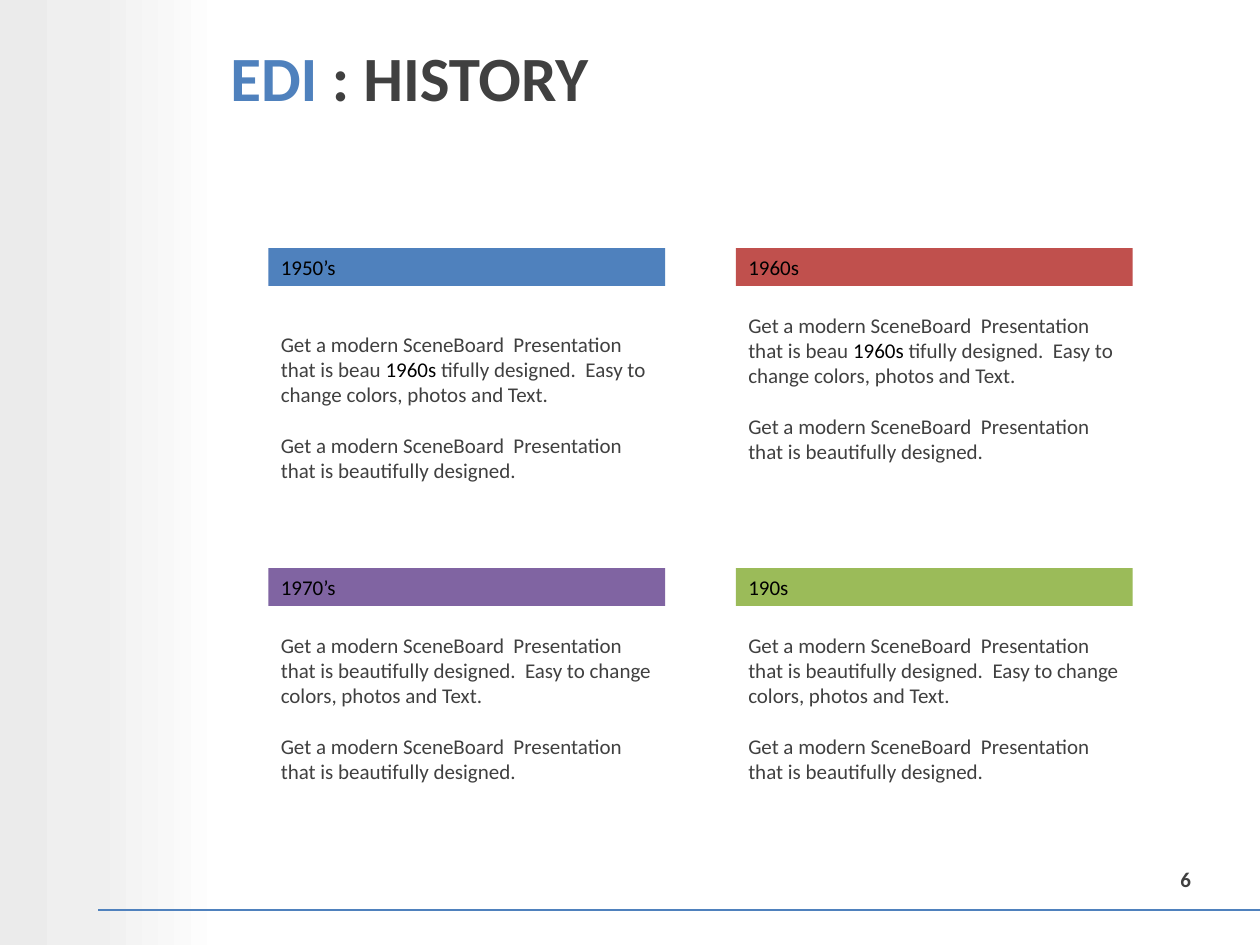
from copy import deepcopy
from dataclasses import dataclass

from lxml.etree import SubElement
from pptx import Presentation
from pptx.dml.color import RGBColor
from pptx.enum.shapes import MSO_CONNECTOR, MSO_SHAPE
from pptx.enum.text import MSO_ANCHOR, PP_ALIGN
from pptx.oxml.ns import qn
from pptx.util import Inches, Pt


@dataclass(frozen=True)
class Theme:
    font: str = "Calibri"
    title: float = 36
    body: float = 12
    paragraph_gap: float = 14.65
    rule: float = 1
    black: str = "000000"
    dark: str = "404040"
    blue: str = "4F81BD"
    red: str = "C0504D"
    purple: str = "8064A2"
    green: str = "9BBB59"
    fade: tuple = ((0, "EBEBEB"), (0.42, "EFEFEF"), (1, "FFFFFF"))


THEME = Theme()
WIDTH, HEIGHT = 10, 7.5
GRID_LEFT, GRID_TOP = 2.13, 1.97
COLUMN_STEP, ROW_STEP = 3.71, 2.54
CARD_WIDTH, HEADER_HEIGHT, BODY_HEIGHT = 3.15, 0.3, 1.31

OPENING = "Get a modern SceneBoard  Presentation that is beau"
ENDING = "tifully designed.  Easy to change colors, photos and Text."
CLOSING = [(OPENING + "tifully designed.", THEME.dark)]
PLAIN = [[(OPENING + ENDING, THEME.dark)], CLOSING]
DATED = [[(OPENING, THEME.dark), (" 1960s ", THEME.black), (ENDING, THEME.dark)], CLOSING]

CARDS = [
    (0, 0, "1950’s", THEME.blue, DATED, 0.61),
    (1, 0, "1960s", THEME.red, DATED, 0.46),
    (0, 1, "1970’s", THEME.purple, PLAIN, 0.46),
    (1, 1, "190s", THEME.green, PLAIN, 0.46),
]


def rgb(color):
    return RGBColor.from_string(color)


def write(sp, paragraphs, size, bold=False, align=PP_ALIGN.LEFT, anchor=MSO_ANCHOR.TOP):
    tf = sp.text_frame
    tf.word_wrap = True
    tf.vertical_anchor = anchor
    for i, runs in enumerate(paragraphs):
        p = tf.add_paragraph() if i else tf.paragraphs[0]
        p.alignment = align
        if i:
            p.space_before = Pt(THEME.paragraph_gap)
        p.font.name, p.font.size, p.font.bold = THEME.font, Pt(size), bold
        for text, color in runs:
            r = p.add_run()
            r.text = text
            r.font.color.rgb = rgb(color)


def add_text(s, box, paragraphs, size, **style):
    sp = s.shapes.add_textbox(*map(Inches, box))
    write(sp, paragraphs, size, **style)


def add_rectangle(s, box):
    sp = s.shapes.add_shape(MSO_SHAPE.RECTANGLE, *map(Inches, box))
    sp.shadow.inherit = False
    sp.line.fill.background()
    return sp


def add_side_fade(s, box):
    sp = add_rectangle(s, box)
    sp.fill.gradient()
    sp.fill.gradient_angle = 0
    stops = sp._element.spPr.find(".//" + qn("a:gsLst"))
    stops.insert(1, deepcopy(stops[0]))
    for stop, (position, color) in zip(sp.fill.gradient_stops, THEME.fade):
        stop.position = position
        stop.color.rgb = rgb(color)


def add_title(s, box):
    runs = [("EDI", THEME.blue), (" : HISTORY", THEME.dark)]
    add_text(s, box, [runs], THEME.title, bold=True, anchor=MSO_ANCHOR.MIDDLE)


def add_card(s, box, heading, color, paragraphs, body_offset):
    left, top, width, height = box
    header = add_rectangle(s, (left, top, width, HEADER_HEIGHT))
    header.fill.solid()
    header.fill.fore_color.rgb = rgb(color)
    write(header, [[(heading, THEME.black)]], THEME.body)
    body = (left, top + body_offset, width, height)
    add_text(s, body, paragraphs, THEME.body)


def add_footer(s, box):
    left, top, width, height = box
    bottom = top + height
    line = s.shapes.add_connector(
        MSO_CONNECTOR.STRAIGHT, *map(Inches, (left, bottom, left + width, bottom))
    )
    line.line.color.rgb = rgb(THEME.blue)
    line.line.width = Pt(THEME.rule)
    SubElement(line._element.spPr, qn("a:effectLst"))
    number = (8.99, top, 0.84, 0.3)
    add_text(s, number, [[("6", THEME.dark)]], THEME.body, bold=True, align=PP_ALIGN.CENTER)


def main():
    prs = Presentation()
    prs.slide_width, prs.slide_height = Inches(WIDTH), Inches(HEIGHT)
    s = prs.slides.add_slide(prs.slide_layouts[6])
    add_side_fade(s, (0, 0, 1.77, HEIGHT))
    add_title(s, (1.73, 0.04, 8.27, 1.13))
    for column, row, *content in CARDS:
        left = GRID_LEFT + column * COLUMN_STEP
        top = GRID_TOP + row * ROW_STEP
        add_card(s, (left, top, CARD_WIDTH, BODY_HEIGHT), *content)
    add_footer(s, (0.78, 6.83, WIDTH - 0.78, 0.39))
    prs.save("out.pptx")


if __name__ == "__main__":
    main()
